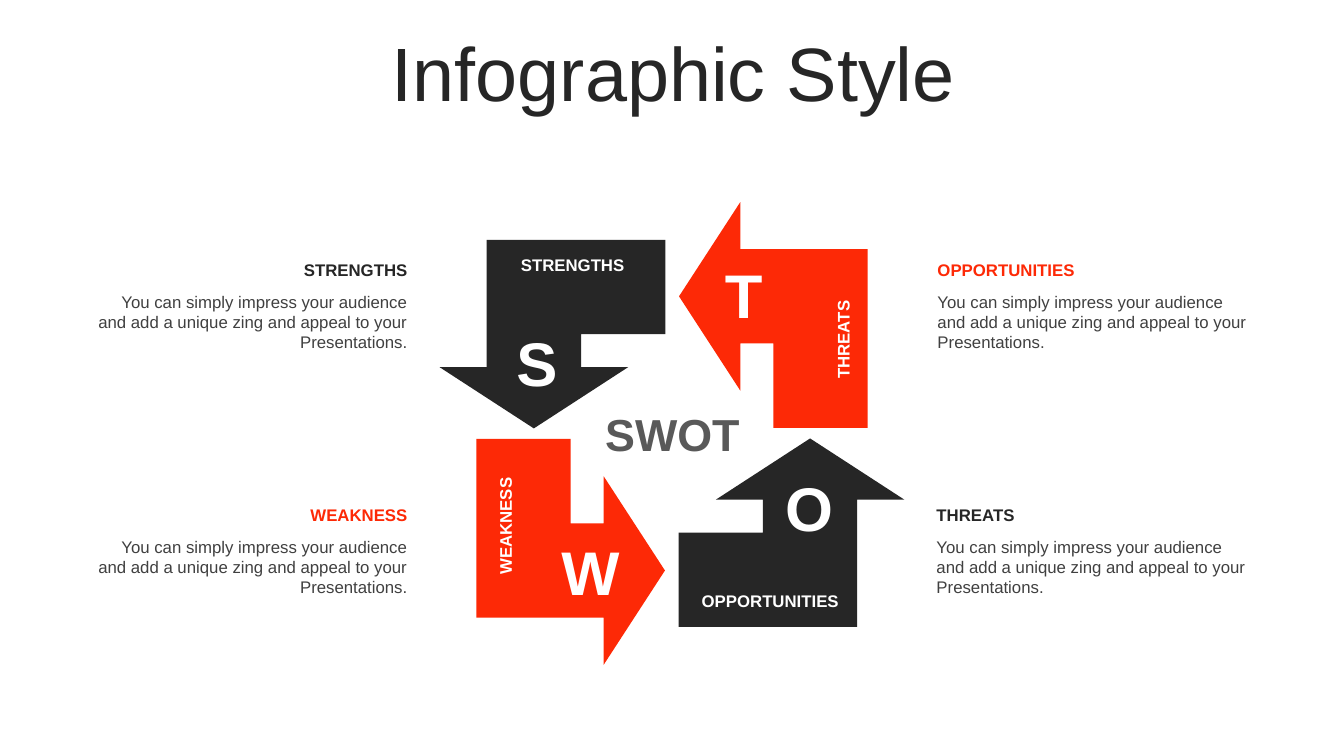
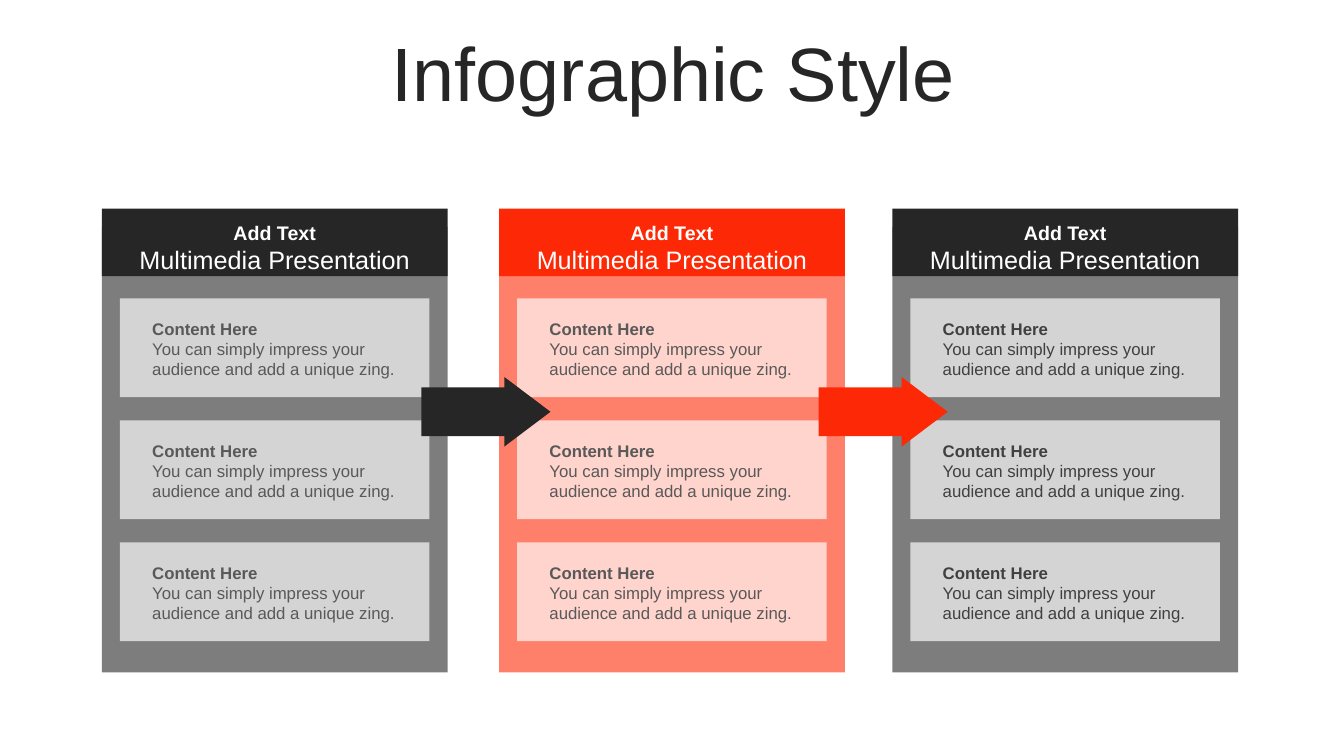
from dataclasses import dataclass

import pptx
import pptx.dml.color
import pptx.enum.shapes
import pptx.enum.text
import pptx.util

Inches = pptx.util.Inches
Pt = pptx.util.Pt
SHAPE = pptx.enum.shapes.MSO_SHAPE
ALIGN = pptx.enum.text.PP_ALIGN
ANCHOR = pptx.enum.text.MSO_ANCHOR
AUTO_SIZE = pptx.enum.text.MSO_AUTO_SIZE


@dataclass(frozen=True)
class Theme:
    font: str = "Arial"
    dark: str = "262626"
    red: str = "FD2906"
    white: str = "FFFFFF"
    body: str = "404040"
    muted: str = "595959"
    gray_panel: str = "7D7D7D"
    red_panel: str = "FE7F6A"
    gray_card: str = "D4D4D4"
    red_card: str = "FFD4CD"
    title_size: int = 54
    letter_size: int = 44
    center_size: int = 32
    subhead_size: int = 18
    head_size: int = 14
    text_size: int = 12


THEME = Theme()


@dataclass(frozen=True)
class Line:
    text: str
    size: int
    color: str
    bold: bool = False
    space_after: int = 0


def rgb(color):
    return pptx.dml.color.RGBColor.from_string(color)


def write(tf, lines, align, anchor=ANCHOR.TOP):
    tf.word_wrap = True
    tf.vertical_anchor = anchor
    for i, line in enumerate(lines):
        p = tf.paragraphs[0] if i == 0 else tf.add_paragraph()
        p.text = line.text
        p.alignment = align
        p.space_after = Pt(line.space_after)
        p.font.name = THEME.font
        p.font.size = Pt(line.size)
        p.font.bold = line.bold
        p.font.color.rgb = rgb(line.color)


def add_title(s, text):
    title = s.shapes.title
    title.left, title.top = Inches(0.35), Inches(0.37)
    title.width, title.height = Inches(12.66), Inches(0.79)
    tf = title.text_frame
    tf.auto_size = AUTO_SIZE.NONE
    write(tf, [Line(text, THEME.title_size, THEME.dark)], ALIGN.CENTER,
          ANCHOR.MIDDLE)
    tf.paragraphs[0].line_spacing = 0.9


def add_text(s, left, top, width, height, lines, align=ALIGN.CENTER,
             anchor=ANCHOR.MIDDLE, rotation=0):
    sp = s.shapes.add_textbox(Inches(left), Inches(top), Inches(width),
                              Inches(height))
    sp.rotation = rotation
    write(sp.text_frame, lines, align, anchor)
    sp.text_frame.auto_size = AUTO_SIZE.SHAPE_TO_FIT_TEXT


def add_block(s, kind, left, top, width, height, color, adjustments=(),
              rotation=0):
    sp = s.shapes.add_shape(kind, Inches(left), Inches(top), Inches(width),
                            Inches(height))
    sp.shadow.inherit = False
    sp.fill.solid()
    sp.fill.fore_color.rgb = rgb(color)
    sp.line.fill.background()
    sp.rotation = rotation
    for i, value in enumerate(adjustments):
        sp.adjustments[i] = value
    return sp


def set_insets(tf, left, top, right):
    tf.margin_left, tf.margin_top = Inches(left), Inches(top)
    tf.margin_right, tf.margin_bottom = Inches(right), 0


def add_swot_arrow(s, left, top, rotation, color):
    add_block(s, SHAPE.BENT_UP_ARROW, left, top, 2.24, 1.87, color,
              (0.5, 0.5, 0.325), rotation)


def add_swot_labels(s, letter, letter_at, name, name_at, rotation):
    add_text(s, *letter_at, 0.69, 0.84,
             [Line(letter, THEME.letter_size, THEME.white, True)])
    add_text(s, *name_at, 1.74, 0.3,
             [Line(name, THEME.text_size, THEME.white, True)],
             rotation=rotation)


def add_description(s, left, top, width, heading, color, align):
    text = ("You can simply impress your audience and add a unique zing "
            "and appeal to your Presentations.")
    add_text(s, left, top, width, 0.98, [
        Line(heading, THEME.text_size, color, True, space_after=8),
        Line(text, THEME.text_size, THEME.body),
    ], align, ANCHOR.TOP)


def add_column(s, left, header_color, panel_color, card_color, text_color):
    """Draw a panel with its header and three equally spaced cards."""
    width, inset = 3.43, 0.18
    add_block(s, SHAPE.RECTANGLE, left, 2.25, width, 4.42, panel_color)
    header = add_block(s, SHAPE.RECTANGLE, left, 2.07, width, 0.67,
                       header_color)
    set_insets(header.text_frame, 0.1, 0.12, 0.1)
    write(header.text_frame, [
        Line("Add Text", THEME.head_size, THEME.white, True),
        Line("Multimedia Presentation", THEME.subhead_size, THEME.white),
    ], ALIGN.CENTER)

    for row in range(3):
        card = add_block(s, SHAPE.RECTANGLE, left + inset, 2.96 + 1.21 * row,
                         width - 2 * inset, 0.98, card_color)
        set_insets(card.text_frame, 0.32, 0.2, 0.34)
        write(card.text_frame, [
            Line("Content Here", THEME.text_size, text_color, True),
            Line("You can simply impress your audience and add a unique zing.",
                 THEME.text_size, text_color),
        ], ALIGN.LEFT)


def build_swot(s):
    descriptions = [
        (0.8, 2.53, 3.34, "STRENGTHS", THEME.dark, ALIGN.RIGHT),
        (0.8, 4.96, 3.34, "WEAKNESS", THEME.red, ALIGN.RIGHT),
        (9.2, 2.53, 3.27, "OPPORTUNITIES", THEME.red, ALIGN.LEFT),
        (9.19, 4.96, 3.3, "THREATS", THEME.dark, ALIGN.LEFT),
    ]
    for description in descriptions:
        add_description(s, *description)

    arrows = [
        (4.54, 4.54, 90, THEME.red),
        (6.73, 4.35, 0, THEME.dark),
        (6.55, 2.19, 270, THEME.red),
        (4.36, 2.38, 180, THEME.dark),
    ]
    for arrow in arrows:
        add_swot_arrow(s, *arrow)

    labels = [
        ("S", (4.98, 3.17), "STRENGTHS", (4.81, 2.48), 0),
        ("W", (5.47, 5.24), "WEAKNESS", (4.14, 5.07), 270),
        ("T", (7.03, 2.5), "THREATS", (7.49, 3.22), 270),
        ("O", (7.68, 4.61), "OPPORTUNITIES", (6.77, 5.81), 0),
    ]
    for label in labels:
        add_swot_labels(s, *label)
    add_text(s, 5.8, 3.98, 1.74, 0.64,
             [Line("SWOT", THEME.center_size, THEME.muted, True)])


def build_columns(s):
    columns = [
        (1.01, THEME.dark, THEME.gray_panel, THEME.gray_card, THEME.muted),
        (4.95, THEME.red, THEME.red_panel, THEME.red_card, THEME.muted),
        (8.85, THEME.dark, THEME.gray_panel, THEME.gray_card, THEME.body),
    ]
    for column in columns:
        add_column(s, *column)
    for left, color, *_ in columns[:-1]:
        add_block(s, SHAPE.RIGHT_ARROW, left + 3.17, 3.74, 1.28, 0.69, color,
                  (0.701, 0.663))


def main():
    prs = pptx.Presentation()
    prs.slide_width, prs.slide_height = Inches(13.33), Inches(7.5)
    title_only = prs.slide_layouts[5]
    for build in (build_swot, build_columns):
        s = prs.slides.add_slide(title_only)
        add_title(s, "Infographic Style")
        build(s)
    prs.save("out.pptx")


if __name__ == "__main__":
    main()
